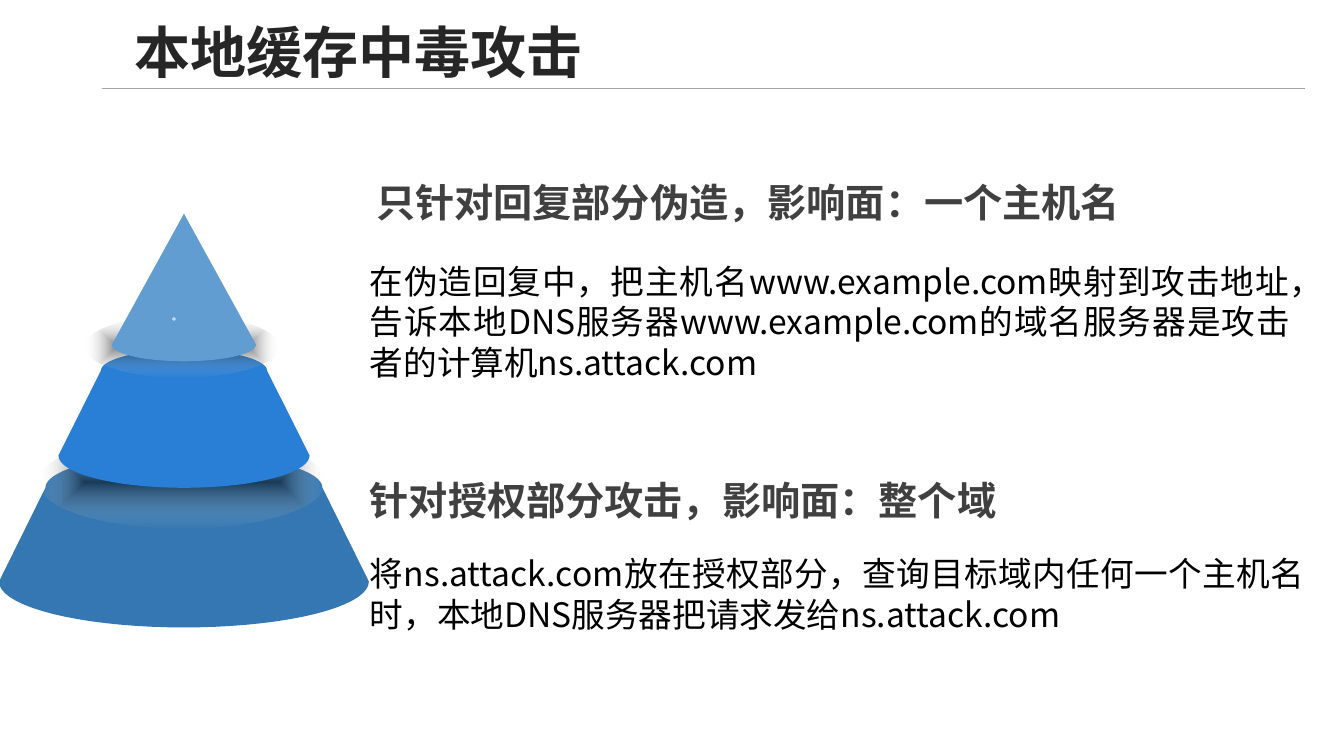
import math
from dataclasses import dataclass

import pptx
import pptx.dml.color
import pptx.enum.shapes
import pptx.enum.text
import pptx.oxml
import pptx.oxml.ns
import pptx.util

WIDE = pptx.util.Inches(13.33)
HIGH = pptx.util.Inches(7.5)
FONT = "Noto Sans CJK SC"
MID = 13.69
KIND = pptx.enum.shapes.MSO_SHAPE
ALIGN = pptx.enum.text.PP_ALIGN
ANCHOR = pptx.enum.text.MSO_ANCHOR
FIT = pptx.enum.text.MSO_AUTO_SIZE


@dataclass
class Ring:
    y: float
    rx: float
    ry: float


@dataclass
class Tier:
    base: Ring
    top: Ring
    fill: str
    shade: Ring | None = None


@dataclass
class Note:
    text: str
    x: float
    y: float
    w: float
    h: float
    size: int
    hue: str
    bold: bool = True
    just: bool = False
    title: bool = False
    pad: tuple[float, float] = (0.1, 0.05)


TIERS = [
    Tier(Ring(76.93, 13.76, 6.07), Ring(64.53, 10.31, 4.53), "3477B2", Ring(63.73, 10.65, 6.13)),
    Tier(Ring(60.27, 9.34, 4.27), Ring(49.07, 6.19, 2.8), "297FD5", Ring(45.87, 7.16, 4.13)),
    Tier(Ring(45.6, 5.36, 2.2), Ring(28.27, 0, 0), "629DD1"),
]

NOTES = [
    Note("本地缓存中毒攻击", 9.3, 2, 83.87, 10.53, 40, "262626", title=True),
    Note("只针对回复部分伪造，影响面：一个主机名", 27.46, 23.07, 63.24, 7.33, 28, "404040",
         pad=(0.07, 0.04)),
    Note("在伪造回复中，把主机名www.example.com映射到攻击地址，告诉本地DNS服务器"
         "www.example.com的域名服务器是攻击者的计算机ns.attack.com",
         26.78, 33.87, 69.92, 17.47, 24, "000000", bold=False, just=True),
    Note("针对授权部分攻击，影响面：整个域", 26.78, 62.4, 79.82, 7.6, 28, "404040"),
    Note("将ns.attack.com放在授权部分，查询目标域内任何一个主机名时，"
         "本地DNS服务器把请求发给ns.attack.com",
         26.78, 72.53, 71.04, 12.13, 24, "000000", bold=False, just=True),
]

SHADE = f"""<a:gradFill {pptx.oxml.ns.nsdecls("a")} rotWithShape="1"><a:gsLst>
<a:gs pos="0"><a:srgbClr val="000000"><a:alpha val="50000"/></a:srgbClr></a:gs>
<a:gs pos="100000"><a:srgbClr val="FFFFFF"><a:alpha val="0"/></a:srgbClr></a:gs>
</a:gsLst><a:path path="shape"><a:fillToRect l="50000" t="50000" r="50000" b="50000"/></a:path>
</a:gradFill>"""


def col(share: float) -> int:
    return round(WIDE * share / 100)


def row(share: float) -> int:
    return round(HIGH * share / 100)


def tint(hue: str) -> pptx.dml.color.RGBColor:
    return pptx.dml.color.RGBColor.from_string(hue)


def paint(shape, hue: str) -> None:
    shape.shadow.inherit = False
    shape.line.fill.background()
    shape.fill.solid()
    shape.fill.fore_color.rgb = tint(hue)


def arc(ring: Ring, start: int) -> list[tuple[int, int]]:
    turns = [math.radians(start + step) for step in range(0, 181, 5)]
    return [(col(MID + ring.rx * math.cos(turn)), row(ring.y + ring.ry * math.sin(turn)))
            for turn in turns]


def draw_tier(slide, tier: Tier) -> None:
    dots = arc(tier.base, 0) + arc(tier.top, 180)
    pen = slide.shapes.build_freeform(*dots[0])
    pen.add_line_segments(dots[1:], close=True)
    paint(pen.convert_to_shape(), tier.fill)
    if tier.shade:
        draw_shade(slide, tier.shade)


def draw_shade(slide, ring: Ring) -> None:
    shape = slide.shapes.add_shape(
        KIND.OVAL, col(13.54 - ring.rx), row(ring.y - ring.ry), col(2 * ring.rx), row(2 * ring.ry))
    shape.shadow.inherit = False
    shape.line.fill.background()
    shape.element.spPr.find(pptx.oxml.ns.qn("a:prstGeom")).addnext(pptx.oxml.parse_xml(SHADE))


def draw_note(slide, note: Note) -> None:
    box = slide.shapes.add_textbox(col(note.x), row(note.y), col(note.w), row(note.h))
    frame = box.text_frame
    frame.word_wrap = True
    frame.margin_left = frame.margin_right = pptx.util.Inches(note.pad[0])
    frame.margin_top = frame.margin_bottom = pptx.util.Inches(note.pad[1])
    frame.text = note.text
    line = frame.paragraphs[0]
    line.alignment = ALIGN.JUSTIFY if note.just else ALIGN.LEFT
    if note.title:
        frame.vertical_anchor = ANCHOR.MIDDLE
        line.line_spacing = 0.9
    else:
        frame.auto_size = FIT.SHAPE_TO_FIT_TEXT
    for run in line.runs:
        run.font.size = pptx.util.Pt(note.size)
        run.font.bold = note.bold
        run.font.color.rgb = tint(note.hue)
        run.font.name = FONT
        face = pptx.oxml.parse_xml(f'<a:ea {pptx.oxml.ns.nsdecls("a")} typeface="{FONT}"/>')
        run.font._element.append(face)


def draw_rule(slide) -> None:
    rule = slide.shapes.add_connector(
        pptx.enum.shapes.MSO_CONNECTOR.STRAIGHT, col(7.58), row(11.73), col(97.07), row(11.73))
    rule.line.color.rgb = tint("A6A6A6")
    rule.line.width = pptx.util.Pt(1)
    rule.element.spPr.append(
        pptx.oxml.parse_xml(f'<a:effectLst {pptx.oxml.ns.nsdecls("a")}/>'))


def main() -> None:
    deck = pptx.Presentation()
    deck.slide_width, deck.slide_height = WIDE, HIGH
    slide = deck.slides.add_slide(deck.slide_layouts[6])
    draw_rule(slide)
    for tier in TIERS:
        draw_tier(slide, tier)
    ring = slide.shapes.add_shape(KIND.DONUT, col(12.83), row(42), col(0.23), row(0.4))
    paint(ring, "FFFFFF")
    for note in NOTES:
        draw_note(slide, note)
    deck.save("out.pptx")


if __name__ == "__main__":
    main()
